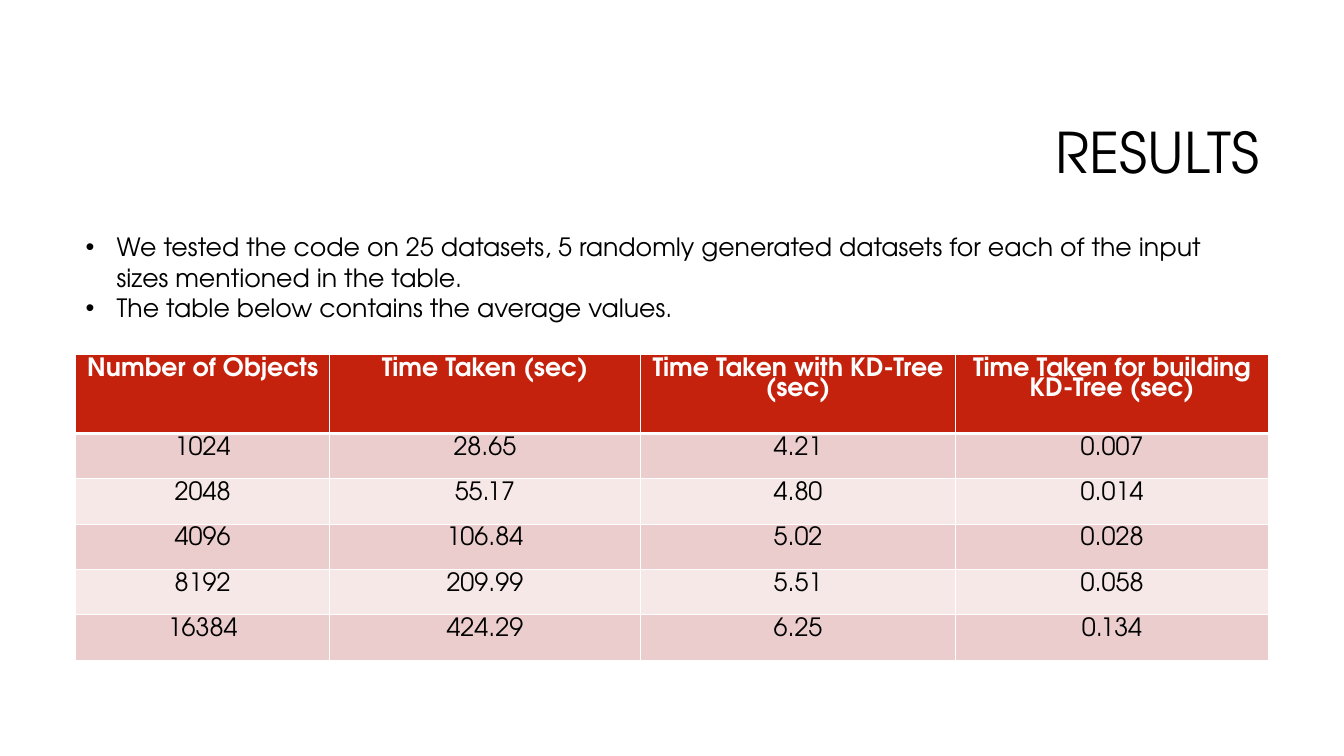
from lxml.etree import SubElement
from pptx import Presentation
from pptx.dml.color import RGBColor
from pptx.enum.text import MSO_ANCHOR, MSO_AUTO_SIZE, PP_ALIGN
from pptx.oxml.ns import qn
from pptx.util import Inches, Pt

# Content
TITLE = "RESULTS"
BULLETS = [
    "We tested the code on 25 datasets, 5 randomly generated datasets for each "
    "of the input sizes mentioned in the table.",
    "The table below contains the average values.",
]
RESULTS = [
    ("Number of Objects", "Time Taken (sec)", "Time Taken with KD-Tree (sec)",
     "Time Taken for building KD-Tree (sec)"),
    ("1024", "28.65", "4.21", "0.007"),
    ("2048", "55.17", "4.80", "0.014"),
    ("4096", "106.84", "5.02", "0.028"),
    ("8192", "209.99", "5.51", "0.058"),
    ("16384", "424.29", "6.25", "0.134"),
]

# Format
FONT = "TeX Gyre Adventor"
BLACK, WHITE, RED = "000000", "FFFFFF", "C4220D"
BANDS = ("F5E8E7", "EACDCC")
LEFT, WIDTH = 0.75, 11.83
COLUMN_WIDTHS = (2.52, 3.08, 3.13, 3.1)
HEADER_HEIGHT, ROW_HEIGHT = 0.78, 0.45


def color(value):
    return RGBColor.from_string(value)


def write(para, text, size=18, fill=BLACK, bold=False, align=PP_ALIGN.LEFT, spacing=1.0):
    para.alignment = align
    para.line_spacing = spacing
    para.space_before = para.space_after = Pt(0)
    span = para.add_run()
    span.text = text
    span.font.name = FONT
    span.font.size = Pt(size)
    span.font.bold = bold
    span.font.color.rgb = color(fill)


def add_bullet(para):
    properties = para._p.get_or_add_pPr()
    properties.set("marL", str(Inches(0.31)))
    properties.set("indent", str(-Inches(0.31)))
    SubElement(properties, qn("a:buFont"), typeface="Arial")
    SubElement(properties, qn("a:buChar"), char="•")


def add_borders(cell, bottom):
    """Draw white borders; they must come before the cell's fill."""
    properties = cell._tc.get_or_add_tcPr()
    for side, points in (("lnL", 1), ("lnR", 1), ("lnT", 1), ("lnB", bottom)):
        line = SubElement(properties, qn(f"a:{side}"), w=str(Pt(points)))
        fill = SubElement(line, qn("a:solidFill"))
        SubElement(fill, qn("a:srgbClr"), val=WHITE)


deck = Presentation()
deck.slide_width, deck.slide_height = Inches(13.33), Inches(7.5)
page = deck.slides.add_slide(deck.slide_layouts[5])

# Title
title = page.shapes.title
title.left, title.top = Inches(3.17), Inches(0.84)
title.width, title.height = Inches(9.42), Inches(1.41)
title.text_frame.vertical_anchor = MSO_ANCHOR.MIDDLE
title.text_frame.word_wrap = True
write(title.text_frame.paragraphs[0], TITLE, size=40, align=PP_ALIGN.RIGHT, spacing=0.9)

# Results table
table_height = HEADER_HEIGHT + ROW_HEIGHT * (len(RESULTS) - 1)
table = page.shapes.add_table(
    len(RESULTS), len(COLUMN_WIDTHS),
    Inches(LEFT), Inches(3.52), Inches(WIDTH), Inches(table_height)).table
for column, width in zip(table.columns, COLUMN_WIDTHS):
    column.width = Inches(width)
for r, values in enumerate(RESULTS):
    header = r == 0
    table.rows[r].height = Inches(HEADER_HEIGHT if header else ROW_HEIGHT)
    for c, value in enumerate(values):
        cell = table.cell(r, c)
        cell.margin_left = cell.margin_right = Inches(0.08)
        add_borders(cell, bottom=3 if header else 1)
        cell.fill.solid()
        cell.fill.fore_color.rgb = color(RED if header else BANDS[r % 2])
        write(cell.text_frame.paragraphs[0], value, fill=WHITE if header else BLACK,
              bold=header, align=PP_ALIGN.CENTER, spacing=0.88)

# Bullets above the table
box = page.shapes.add_textbox(Inches(LEFT), Inches(2.25), Inches(WIDTH), Inches(1.01))
frame = box.text_frame
frame.word_wrap = True
frame.auto_size = MSO_AUTO_SIZE.SHAPE_TO_FIT_TEXT
for i, text in enumerate(BULLETS):
    para = frame.add_paragraph() if i else frame.paragraphs[0]
    write(para, text)
    add_bullet(para)

deck.save("out.pptx")
